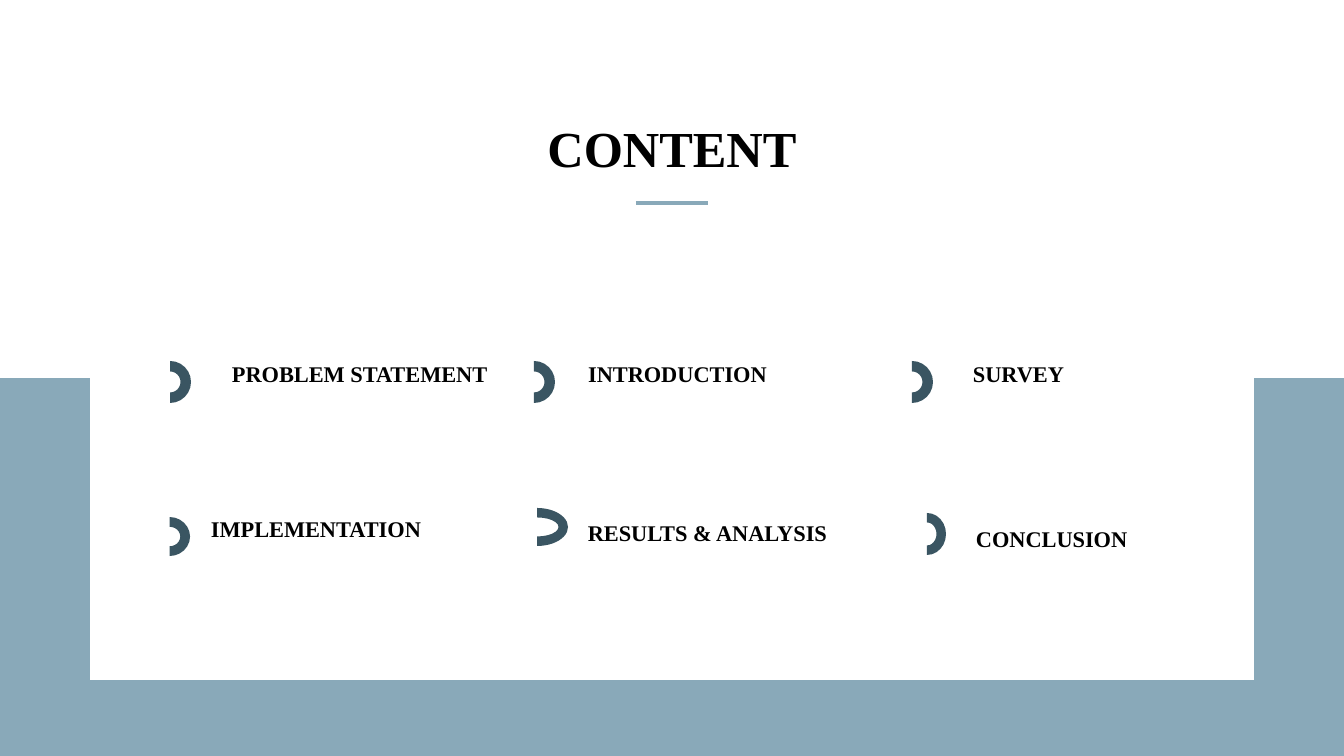
from collections import namedtuple

from lxml.etree import SubElement
from pptx import Presentation
from pptx.dml.color import RGBColor
from pptx.enum.shapes import MSO_CONNECTOR, MSO_SHAPE
from pptx.enum.text import MSO_ANCHOR, PP_ALIGN
from pptx.oxml.ns import qn
from pptx.util import Pt

Box = namedtuple("Box", "left top width height")

WIDTH, HEIGHT = 1344, 756
SCALE = 12192000 / WIDTH
WHITE = RGBColor(0xFF, 0xFF, 0xFF)
BLACK = RGBColor(0x00, 0x00, 0x00)
BLUE = RGBColor(0x89, 0xA9, 0xB9)
SLATE = RGBColor(0x3A, 0x55, 0x62)
LEFT, CENTER = PP_ALIGN.LEFT, PP_ALIGN.CENTER

TOPICS = [
    ("PROBLEM STATEMENT", LEFT, Box(149, 361, 42, 42), Box(222, 313, 281, 79)),
    ("INTRODUCTION", CENTER, Box(513, 361, 42, 42), Box(556, 313, 243, 79)),
    ("SURVEY", LEFT, Box(891, 361, 42, 42), Box(963, 313, 243, 79)),
    ("IMPLEMENTATION", LEFT, Box(150, 516, 39, 41), Box(201, 473, 260, 74)),
    ("CONCLUSION", LEFT, Box(906, 515, 42, 38), Box(966, 473, 184, 84)),
    ("RESULTS & ANALYSIS", CENTER, Box(518, 496, 38, 62), Box(528, 492, 359, 59)),
]


def px(length):
    """Turn whole pixels into EMU."""
    return round(length * SCALE)


def emu(box):
    """Return the four lengths of a box in EMU."""
    return [px(length) for length in box]


def add_filled(shapes, kind, box, color):
    """Add a preset shape with a plain fill and no outline."""
    shape = shapes.add_shape(kind, *emu(box))
    shape.shadow.inherit = False
    shape.fill.solid()
    shape.fill.fore_color.rgb = color
    shape.line.fill.background()
    return shape


def write(shape, text, size, align):
    """Write one bold line that stands on the bottom of its shape."""
    frame = shape.text_frame
    frame.word_wrap = True
    frame.vertical_anchor = MSO_ANCHOR.BOTTOM
    para = frame.paragraphs[0]
    para.alignment = align
    span = para.add_run()
    span.text = text
    formats = {"name": "Times New Roman", "size": Pt(size), "bold": True}
    for name, value in formats.items():
        setattr(span.font, name, value)
    span.font.color.rgb = BLACK


def add_backdrop(page, box):
    """Place the blue lower half and the white panel over it."""
    half = box.height // 2
    lower = Box(box.left, box.top + half, box.width, half)
    panel = Box(box.left + 90, box.top + 77, box.width - 180, box.height - 154 + 1)
    for area, color in ((lower, BLUE), (panel, WHITE)):
        add_filled(page.shapes, MSO_SHAPE.RECTANGLE, area, color)


def add_heading(page, box):
    """Place the title in its box with a short rule centred below."""
    title = page.shapes.title
    title.left, title.top, title.width, title.height = emu(box)
    write(title, "CONTENT", 36, CENTER)
    title.element.getparent().append(title.element)
    middle = box.left + box.width // 2
    level = px(box.top + box.height + 20)
    rule = page.shapes.add_connector(
        MSO_CONNECTOR.STRAIGHT, px(middle - 36), level, px(middle + 36), level
    )
    rule.line.color.rgb = BLUE
    rule.line.width = Pt(3)
    SubElement(rule.element.spPr, qn("a:effectLst"))


def add_topic(page, text, align, arc_box, label_box):
    """Group a turned arc with the label beside it."""
    shapes = page.shapes.add_group_shape().shapes
    arc = add_filled(shapes, MSO_SHAPE.BLOCK_ARC, arc_box, SLATE)
    arc.rotation = 90
    write(shapes.add_textbox(*emu(label_box)), text, 16, align)


def main():
    """Build the content slide and save the deck."""
    deck = Presentation()
    deck.slide_width, deck.slide_height = px(WIDTH), px(HEIGHT)
    page = deck.slides.add_slide(deck.slide_layouts[5])
    page.background.fill.solid()
    page.background.fill.fore_color.rgb = WHITE
    add_backdrop(page, Box(0, 0, WIDTH, HEIGHT))
    add_heading(page, Box(534, 111, 276, 72))
    for topic in TOPICS:
        add_topic(page, *topic)
    deck.save("out.pptx")


if __name__ == "__main__":
    main()
